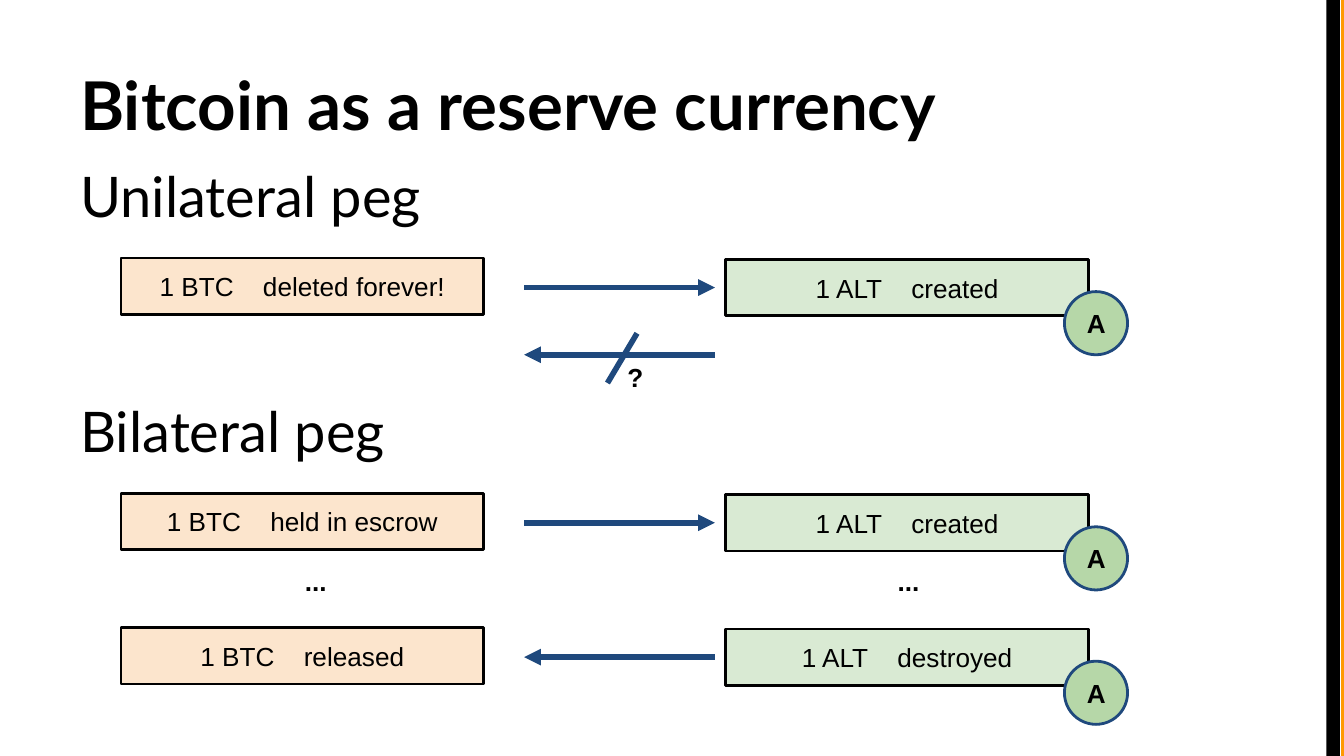
import pptx
import pptx.util
import pptx.dml.color
import pptx.enum.shapes
import pptx.enum.text
import pptx.oxml.ns
from lxml import etree

RGBColor = pptx.dml.color.RGBColor
SHAPE = pptx.enum.shapes.MSO_SHAPE
ALIGN = pptx.enum.text.PP_ALIGN
ANCHOR = pptx.enum.text.MSO_ANCHOR

BLACK = RGBColor(0x00, 0x00, 0x00)
ORANGE = RGBColor(0xFF, 0x99, 0x00)
PEACH = RGBColor(0xFC, 0xE5, 0xCD)
MINT = RGBColor(0xD9, 0xEA, 0xD3)
GREEN = RGBColor(0xB6, 0xD7, 0xA8)
NAVY = RGBColor(0x1F, 0x49, 0x7D)

UNIT = 0.1
COLS, ROWS = 100, 56.25
BOX_W, BOX_H = 27, 4.2
ALT_X = 45
ARROW_X1, ARROW_X2 = 30, 44.2
EXCHANGE_X = 9
UNILATERAL_Y, ESCROW_Y, RELEASE_Y = 19.2, 36.7, 46.7
GAP_SPACING = 1167


def grid(*units):
    return [pptx.util.Inches(u * UNIT) for u in units]


def style_run(r, size, font, bold):
    r.font.size = pptx.util.Pt(size)
    r.font.name = font
    r.font.bold = bold
    r.font.color.rgb = BLACK


def style_text(sp, anchor, size, font="Arial", bold=False, align=ALIGN.LEFT):
    tf = sp.text_frame
    tf.word_wrap = True
    tf.vertical_anchor = anchor
    tf.margin_left = tf.margin_right = tf.margin_top = tf.margin_bottom = grid(1)[0]
    for p in tf.paragraphs:
        p.alignment = align
        for r in p.runs:
            style_run(r, size, font, bold)


def add_block(s, shape, box, fill, line=None):
    sp = s.shapes.add_shape(shape, *grid(*box))
    sp.shadow.inherit = False
    sp.fill.solid()
    sp.fill.fore_color.rgb = fill
    if line is None:
        sp.line.fill.background()
    else:
        sp.line.color.rgb = line
        sp.line.width = pptx.util.Pt(1.5)
    return sp


def add_label(s, text, box, anchor=ANCHOR.TOP, size=14, font="Arial", bold=True):
    sp = s.shapes.add_textbox(*grid(*box))
    sp.text_frame.text = text
    style_text(sp, anchor, size, font, bold)
    return sp


def add_line(s, x1, y1, x2, y2, arrow=True):
    c = s.shapes.add_connector(pptx.enum.shapes.MSO_CONNECTOR.STRAIGHT, *grid(x1, y1, x2, y2))
    c.line.color.rgb = NAVY
    c.line.width = pptx.util.Pt(3)
    if arrow:
        etree.SubElement(c.line._get_or_add_ln(), pptx.oxml.ns.qn("a:tailEnd"), type="triangle")
    etree.SubElement(c._element.spPr, pptx.oxml.ns.qn("a:effectLst"))


def add_coin(s, box, amount, action, fill):
    sp = add_block(s, SHAPE.RECTANGLE, box, fill, BLACK)
    p = sp.text_frame.paragraphs[0]
    for text in (amount, " ", action):
        p.add_run().text = text
    style_text(sp, ANCHOR.MIDDLE, 14, align=ALIGN.CENTER)
    p.runs[1].font._element.set("spc", str(GAP_SPACING))


def add_exchange(s, x, y, btc_action, alt_action, forward=True):
    add_coin(s, (x, y, BOX_W, BOX_H), "1 BTC", btc_action, PEACH)
    add_coin(s, (x + ALT_X, y + 0.1, BOX_W, BOX_H), "1 ALT", alt_action, MINT)
    badge = add_block(s, SHAPE.OVAL, (x + 70.2, y + 2.5, 4.7, 4.7), GREEN, NAVY)
    badge.text_frame.text = "A"
    style_text(badge, ANCHOR.MIDDLE, 14, bold=True)
    start, end = (ARROW_X1, ARROW_X2) if forward else (ARROW_X2, ARROW_X1)
    add_line(s, start + EXCHANGE_X, y + 2.2, end + EXCHANGE_X, y + 2.2)


def add_blocked_return(s, x, y):
    add_line(s, x + ARROW_X2, y + 7.2, x + ARROW_X1, y + 7.2)
    add_line(s, x + 38.4, y + 5.6, x + 36.2, y + 9.3, arrow=False)
    add_label(s, "?", (x + 36.7, y + 6.7, 5.1, 5))


def add_ellipses(s, x, y):
    for dx in (12.7, 56.8):
        add_label(s, "...", (x + dx, y + 4.4, 4.2, 5))


def add_edge(s):
    add_block(s, SHAPE.RECTANGLE, (99.8, 0, 1, ROWS), ORANGE)
    add_block(s, SHAPE.RECTANGLE, (98.7, 0, 1, ROWS), BLACK)


def add_headings(s, x, w):
    add_label(s, "Bitcoin as a reserve currency", (x, 2.3, w, 9.4), ANCHOR.BOTTOM, 36, "Lato")
    sp = add_label(s, "Unilateral peg\nBilateral peg", (x, 11, w, 40.7), size=30, font="Lato", bold=False)
    sp.text_frame.paragraphs[1].space_before = pptx.util.Pt(90)


def main():
    prs = pptx.Presentation()
    prs.slide_width, prs.slide_height = grid(COLS, ROWS)
    s = prs.slides.add_slide(prs.slide_layouts[6])
    add_edge(s)
    add_headings(s, 5, 90)
    add_exchange(s, EXCHANGE_X, UNILATERAL_Y, "deleted forever!", "created")
    add_blocked_return(s, EXCHANGE_X, UNILATERAL_Y)
    add_exchange(s, EXCHANGE_X, ESCROW_Y, "held in escrow", "created")
    add_ellipses(s, EXCHANGE_X, ESCROW_Y)
    add_exchange(s, EXCHANGE_X, RELEASE_Y, "released", "destroyed", forward=False)
    prs.save("out.pptx")


if __name__ == "__main__":
    main()
